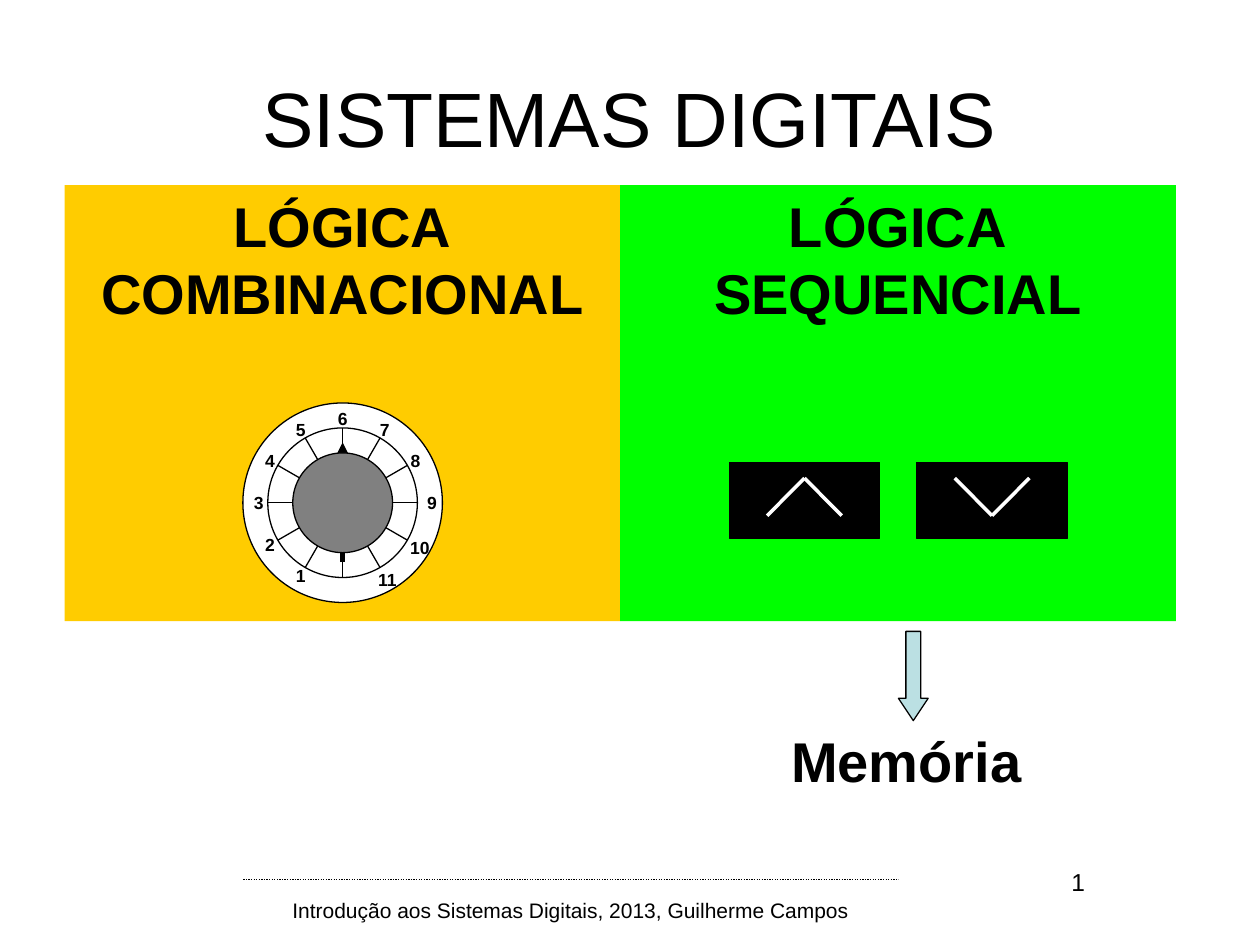
from dataclasses import dataclass
from math import cos, radians, sin

from lxml import etree
from pptx import Presentation
from pptx.dml.color import RGBColor
from pptx.enum import dml, shapes, text
from pptx.oxml.ns import qn
from pptx.util import Pt

SHAPE = shapes.MSO_SHAPE
ALIGN = text.PP_ALIGN
ANCHOR = text.MSO_ANCHOR


@dataclass(frozen=True)
class Theme:
    font: str = "Arial"
    ink: str = "000000"
    paper: str = "FFFFFF"
    combinational: str = "FFCC00"
    sequential: str = "00FF00"
    knob: str = "808080"
    arrow: str = "BBE0E3"
    title: int = 44
    heading: int = 32
    number: int = 14
    footer: int = 12
    dial: int = 10
    thin: float = 0.75
    chevron: float = 2
    pointer: float = 3


@dataclass(frozen=True)
class Box:
    left: float
    top: float
    width: float
    height: float

    def lengths(self):
        return [Pt(value) for value in (self.left, self.top, self.width, self.height)]


THEME = Theme()


def write(shape, lines, size, bold=False, align=ALIGN.CENTER, anchor=ANCHOR.TOP, wrap=True):
    frame = shape.text_frame
    frame.text = "\n".join(lines)
    frame.word_wrap = wrap
    frame.vertical_anchor = anchor
    for paragraph in frame.paragraphs:
        paragraph.alignment = align
        paragraph.font.name = THEME.font
        paragraph.font.size = Pt(size)
        paragraph.font.bold = bold
        paragraph.font.color.rgb = RGBColor.from_string(THEME.ink)


def add_text(slide, box, words, size, margin=None, **style):
    shape = slide.shapes.add_textbox(*box.lengths())
    write(shape, [words], size, **style)
    if margin is not None:
        frame = shape.text_frame
        frame.margin_left = frame.margin_right = Pt(margin)
        frame.margin_top = frame.margin_bottom = Pt(margin)


def add_figure(slide, kind, box, fill, outlined=True):
    shape = slide.shapes.add_shape(kind, *box.lengths())
    shape.shadow.inherit = False
    shape.fill.solid()
    shape.fill.fore_color.rgb = RGBColor.from_string(fill)
    if outlined:
        shape.line.color.rgb = RGBColor.from_string(THEME.ink)
        shape.line.width = Pt(THEME.thin)
    else:
        shape.line.fill.background()
    return shape


def add_line(slide, start, end, width=THEME.thin, color=THEME.ink):
    line = slide.shapes.add_connector(
        shapes.MSO_CONNECTOR.STRAIGHT, *[Pt(value) for value in (*start, *end)])
    line.line.color.rgb = RGBColor.from_string(color)
    line.line.width = Pt(width)
    etree.SubElement(line._element.spPr, qn("a:effectLst"))
    return line


def add_title(slide, box, words):
    title = slide.shapes.title
    title.left, title.top, title.width, title.height = box.lengths()
    write(title, [words], THEME.title, anchor=ANCHOR.MIDDLE)


def add_panel(slide, box, lines, fill):
    panel = add_figure(slide, SHAPE.RECTANGLE, box, fill, outlined=False)
    write(panel, lines, THEME.heading, bold=True, wrap=False)


def add_dial(slide, box):
    radius = box.width / 2
    center_x, center_y = box.left + radius, box.top + radius

    def around(distance, angle):
        return (center_x + distance * cos(radians(angle)),
                center_y + distance * sin(radians(angle)))

    def disc(size, fill):
        add_figure(slide, SHAPE.OVAL, Box(center_x - size, center_y - size, 2 * size, 2 * size), fill)

    # Rings and their spokes
    ring = radius * 0.75
    disc(radius, THEME.paper)
    disc(ring, THEME.paper)
    for angle in range(0, 180, 30):
        add_line(slide, around(ring, angle), around(ring, angle + 180))

    # Positions 1 to 11, clockwise from the lower left
    for position in range(1, 12):
        distance = 51 if position >= 9 else 48
        x, y = around(distance, 90 + 30 * position)
        add_text(slide, Box(x - 7, y - 6.2, 14, 14.4), str(position), THEME.dial,
                 margin=0, bold=True)

    # Pointer, then the knob over it
    pointer = add_line(slide, around(34, 90), around(34.5, 270), THEME.pointer)
    properties = pointer.line._get_or_add_ln()
    etree.SubElement(properties, qn("a:tailEnd"), type="triangle")
    disc(radius / 2, THEME.knob)


def add_button(slide, box, up):
    add_figure(slide, SHAPE.RECTANGLE, box, THEME.ink)
    middle = box.left + box.width / 2
    high, low = box.top + 9, box.top + 30.5
    tip, base = (high, low) if up else (low, high)
    for side in (-21.3, 21.3):
        add_line(slide, (middle + side, base), (middle, tip), THEME.chevron, THEME.paper)


def add_memory(slide, box):
    arrow = add_figure(slide, SHAPE.DOWN_ARROW, Box(box.left + 68.4, box.top, 17, 51), THEME.arrow)
    arrow.adjustments[0], arrow.adjustments[1] = 0.5, 0.75
    add_text(slide, Box(box.left, box.top + 51, box.width, box.height - 51), "Memória",
             THEME.heading, bold=True, align=ALIGN.LEFT)


def add_footer(slide, box):
    rule = add_line(slide, (box.left, box.top + 10.8), (box.left + 374.4, box.top + 10.8))
    rule.line.dash_style = dml.MSO_LINE.ROUND_DOT
    add_text(slide, Box(box.left + 5.7, box.top + 17.3, 363, 22),
             "Introdução aos Sistemas Digitais, 2013, Guilherme Campos", THEME.footer)
    add_text(slide, Box(box.left + box.width - 85.7, box.top, 85.7, box.height), "1",
             THEME.number, align=ALIGN.RIGHT)


presentation = Presentation()
presentation.slide_width, presentation.slide_height = Pt(720), Pt(540)
slide = presentation.slides.add_slide(presentation.slide_layouts[5])

add_footer(slide, Box(139, 491.8, 488.1, 37.4))
add_title(slide, Box(36, 21.6, 648, 90), "SISTEMAS DIGITAIS")

# The two kinds of logic, side by side
panels = [(["LÓGICA", "COMBINACIONAL"], THEME.combinational),
          (["LÓGICA", "SEQUENCIAL"], THEME.sequential)]
for column, (lines, fill) in enumerate(panels):
    add_panel(slide, Box(36.9 + 317.5 * column, 105.8, 317.5, 249.2), lines, fill)

add_dial(slide, Box(138.8, 230.3, 114, 114))
for column, up in enumerate((True, False)):
    add_button(slide, Box(416.7 + 107.2 * column, 264.2, 86, 43.4), up)

add_memory(slide, Box(445, 360.8, 147.6, 96.4))

presentation.save("out.pptx")
